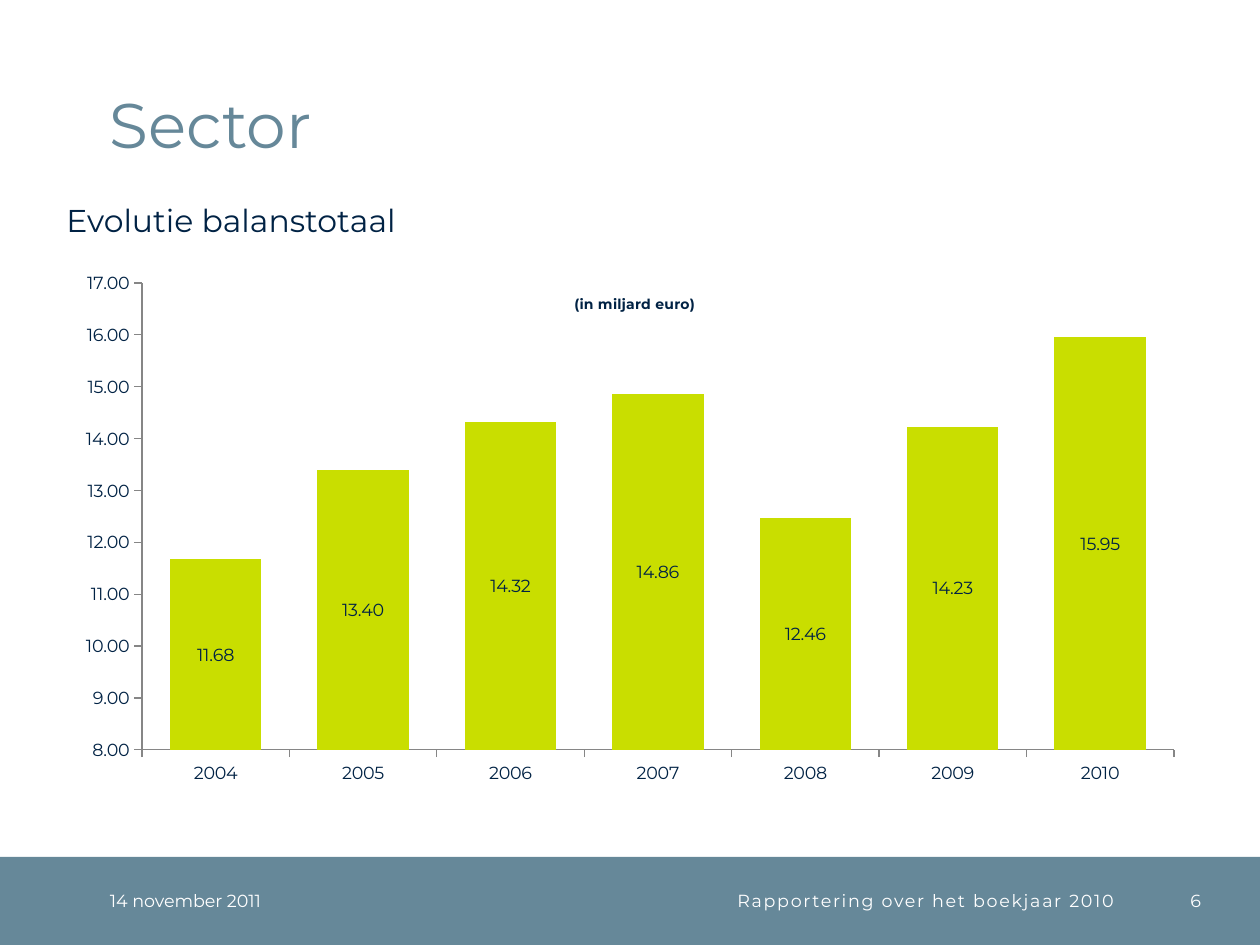
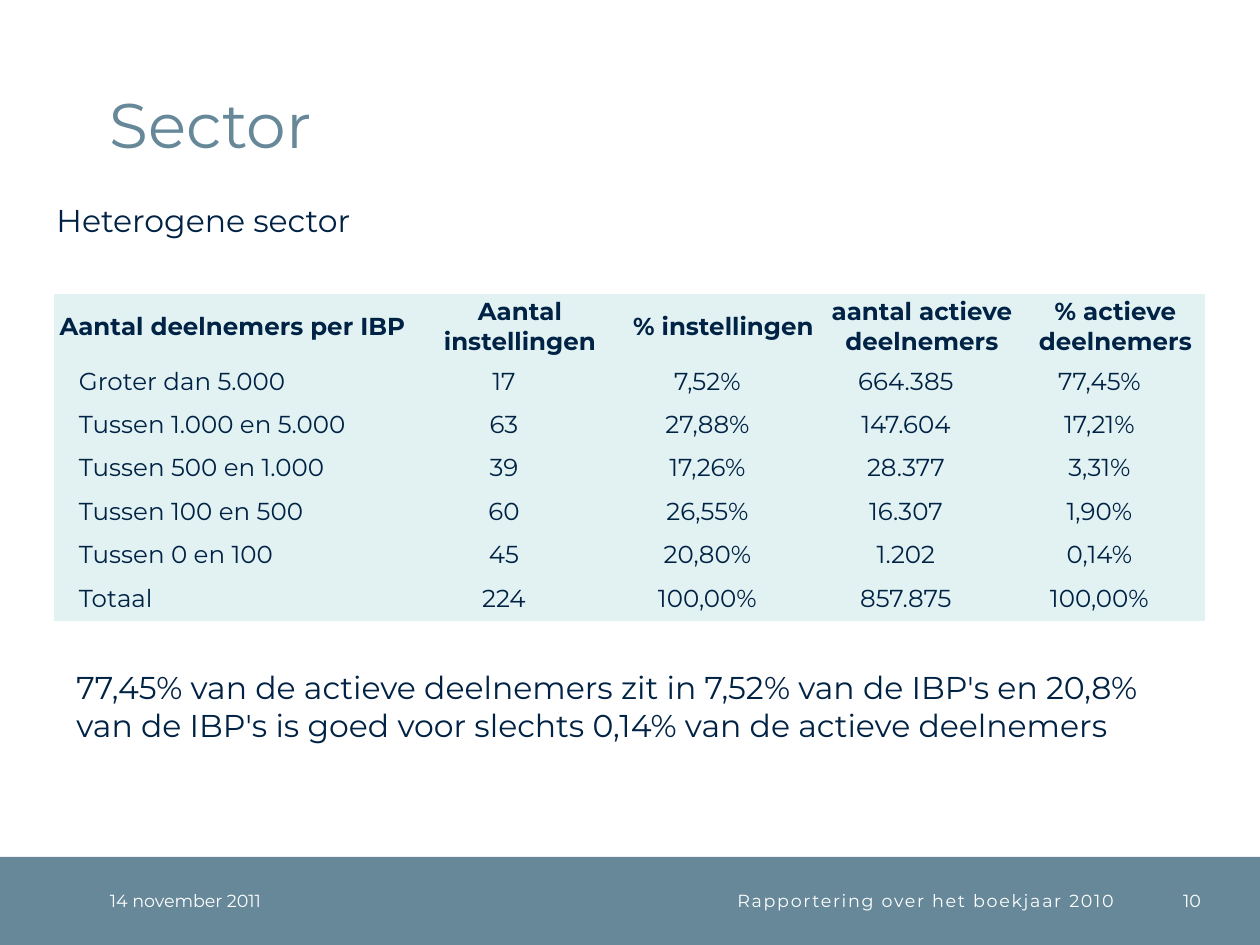
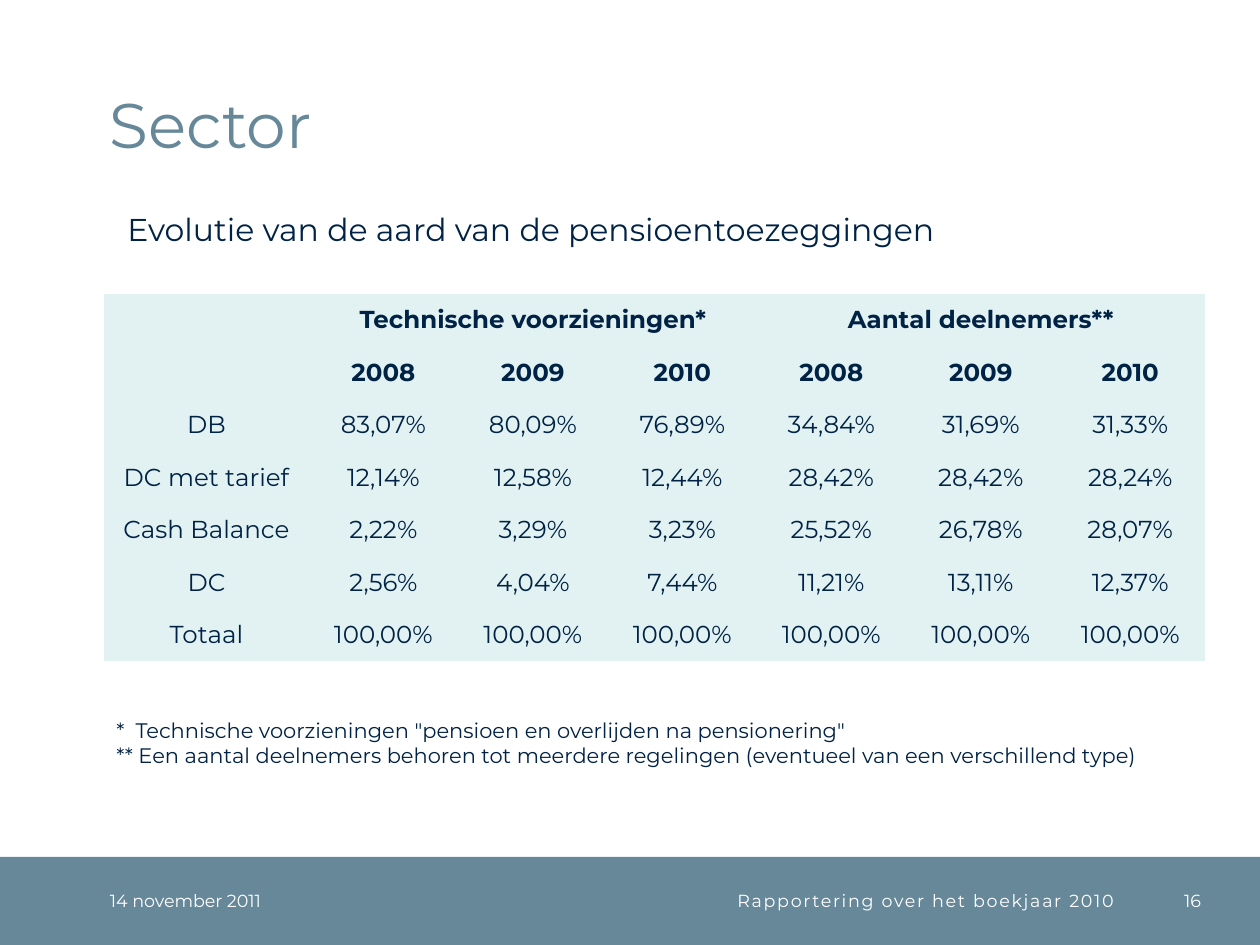
from dataclasses import dataclass

from pptx import Presentation
from pptx.chart.data import CategoryChartData
from pptx.dml.color import RGBColor
from pptx.enum.chart import XL_CHART_TYPE as ChartType, XL_TICK_MARK as TickMark
from pptx.enum.shapes import MSO_SHAPE as Preset
from pptx.enum.text import MSO_ANCHOR as Anchor, MSO_AUTO_SIZE as AutoSize, PP_ALIGN as Align
from pptx.oxml import parse_xml
from pptx.oxml.ns import nsdecls, qn
from pptx.slide import Slide
from pptx.text.text import TextFrame
from pptx.util import Emu, Pt

EMU_PER_PX = 914400 / 126
FONT = "Montserrat"
NAVY = RGBColor(0x00, 0x22, 0x44)
SLATE = RGBColor(0x66, 0x88, 0x99)
LIME = RGBColor(0xC9, 0xDE, 0x00)
MIST = RGBColor(0xE2, 0xF2, 0xF3)
GREY = RGBColor(0x86, 0x86, 0x86)
WHITE = RGBColor(0xFF, 0xFF, 0xFF)
NO_TABLE_STYLE = "{2D5ABB26-0587-4C30-8999-92F81FD0307C}"


@dataclass(frozen=True)
class Box:
    left: int
    top: int
    width: int
    height: int

    def emu(self) -> tuple[Emu, ...]:
        return tuple(px(n) for n in (self.left, self.top, self.width, self.height))


@dataclass(frozen=True)
class Grid:
    box: Box
    columns: list[int]
    heights: list[int]
    rows: list[list[str]]
    header_rows: int = 1
    label_align: Align = Align.CENTER
    label_indent: int = 0
    value_inset: int = 0
    merges: tuple[tuple[int, int, int, int], ...] = ()


BAND = Box(0, 857, 1260, 88)
TITLE = Box(110, 25, 1087, 136)
DATE = Box(110, 857, 223, 88)
REPORT = Box(333, 857, 781, 88)
PAGE = Box(1139, 857, 62, 88)
BALANCE = Box(59, 212, 1138, 583)
BALANCE_PLOT = Box(142, 283, 1032, 467)
BALANCE_UNIT = Box(572, 291, 122, 17)

BALANCE_TOTALS = {
    "2004": 11.68, "2005": 13.40, "2006": 14.32, "2007": 14.86,
    "2008": 12.46, "2009": 14.23, "2010": 15.95,
}


def px(length: int) -> Emu:
    return Emu(round(length * EMU_PER_PX))


def even_split(total: int, parts: int) -> list[int]:
    edges = [round(total * i / parts) for i in range(parts + 1)]
    return [end - start for start, end in zip(edges, edges[1:])]


PARTICIPANTS = Grid(
    Box(54, 294, 1151, 327),
    [357, 218, 189, 208, 179],
    [66, *even_split(216, 5), 45],
    [
        ["Aantal deelnemers per IBP", "Aantal instellingen", "% instellingen",
         "aantal actieve deelnemers", "% actieve deelnemers"],
        ["Groter dan 5.000", "17", "7,52%", "664.385", "77,45%"],
        ["Tussen 1.000 en 5.000", "63", "27,88%", "147.604", "17,21%"],
        ["Tussen 500 en 1.000", "39", "17,26%", "28.377", "3,31%"],
        ["Tussen 100 en 500", "60", "26,55%", "16.307", "1,90%"],
        ["Tussen 0 en 100", "45", "20,80%", "1.202", "0,14%"],
        ["Totaal", "224", "100,00%", "857.875", "100,00%"],
    ],
    label_align=Align.LEFT,
    label_indent=25,
    value_inset=32,
)

PLEDGES = Grid(
    Box(104, 294, 1101, 367),
    [205, *even_split(896, 6)],
    even_split(367, 7),
    [
        ["", "Technische voorzieningen*", "", "", "Aantal deelnemers**", "", ""],
        ["", *["2008", "2009", "2010"] * 2],
        ["DB", "83,07%", "80,09%", "76,89%", "34,84%", "31,69%", "31,33%"],
        ["DC met tarief", "12,14%", "12,58%", "12,44%", "28,42%", "28,42%", "28,24%"],
        ["Cash Balance", "2,22%", "3,29%", "3,23%", "25,52%", "26,78%", "28,07%"],
        ["DC", "2,56%", "4,04%", "7,44%", "11,21%", "13,11%", "12,37%"],
        ["Totaal", *["100,00%"] * 6],
    ],
    header_rows=2,
    merges=((0, 0, 1, 0), (0, 1, 0, 3), (0, 4, 0, 6)),
)


def write(frame: TextFrame, text: str, *, size: int, color: RGBColor = NAVY, bold: bool = False,
          align: Align = Align.LEFT, leading: int = 0, tracking: int = 0) -> None:
    for i, line in enumerate(text.split("\n")):
        paragraph = frame.add_paragraph() if i else frame.paragraphs[0]
        paragraph.alignment = align
        if leading:
            paragraph.line_spacing = Pt(leading)
        run = paragraph.add_run()
        run.text = line
        run.font.name, run.font.size, run.font.bold = FONT, Pt(size), bold
        run.font.color.rgb = color
        if tracking:
            run.font._element.set("spc", str(tracking * 100))


def add_text(slide: Slide, box: Box, text: str, *, anchor: Anchor | None = None, **style) -> None:
    frame = slide.shapes.add_textbox(*box.emu()).text_frame
    frame.word_wrap = True
    if anchor is None:
        frame.auto_size = AutoSize.SHAPE_TO_FIT_TEXT
    else:
        frame.vertical_anchor = anchor
        frame.margin_left = frame.margin_top = frame.margin_right = frame.margin_bottom = 0
    write(frame, text, **style)


def add_sector_slide(deck: Presentation, page: int) -> Slide:
    slide = deck.slides.add_slide(deck.slide_layouts[6])
    band = slide.shapes.add_shape(Preset.RECTANGLE, *BAND.emu())
    band.shadow.inherit = False
    band.fill.solid()
    band.fill.fore_color.rgb = SLATE
    band.line.fill.background()
    footer = dict(anchor=Anchor.MIDDLE, size=10, color=WHITE)
    add_text(slide, DATE, "14 november 2011", **footer)
    add_text(slide, TITLE, "Sector", anchor=Anchor.BOTTOM, size=36, color=SLATE, leading=32)
    add_text(slide, REPORT, "Rapportering over het boekjaar 2010", align=Align.RIGHT,
             tracking=1, **footer)
    add_text(slide, PAGE, str(page), align=Align.RIGHT, **footer)
    return slide


def add_grid(slide: Slide, grid: Grid) -> None:
    table = slide.shapes.add_table(len(grid.rows), len(grid.columns), *grid.box.emu()).table
    table.first_row = table.horz_banding = False
    table._tbl.tblPr.find(qn("a:tableStyleId")).text = NO_TABLE_STYLE
    for column, width in zip(table.columns, grid.columns):
        column.width = px(width)
    for row, height in zip(table.rows, grid.heights):
        row.height = px(height)
    for top, left, bottom, right in grid.merges:
        table.cell(top, left).merge(table.cell(bottom, right))
    for r, row in enumerate(grid.rows):
        for c, text in enumerate(row):
            cell = table.cell(r, c)
            is_header = r < grid.header_rows
            is_label = c == 0 and not is_header
            is_value = c > 0 and not is_header
            cell.fill.solid()
            cell.fill.fore_color.rgb = MIST
            cell.vertical_anchor = Anchor.MIDDLE
            cell.margin_top = cell.margin_bottom = 0
            cell.margin_left = px(grid.label_indent if is_label else 0)
            cell.margin_right = px(grid.value_inset if is_value else 0)
            if text:
                write(cell.text_frame, text, size=14, bold=is_header,
                      align=grid.label_align if is_label else Align.CENTER)


def place_in_chart(element, chart_box: Box, part: Box, *, sized: bool) -> None:
    fractions = {
        "x": (part.left - chart_box.left) / chart_box.width,
        "y": (part.top - chart_box.top) / chart_box.height,
    }
    target = '<c:layoutTarget val="inner"/>' if sized else ""
    modes = '<c:xMode val="edge"/><c:yMode val="edge"/>'
    if sized:
        fractions["w"] = part.width / chart_box.width
        fractions["h"] = part.height / chart_box.height
    values = "".join(f'<c:{key} val="{value:.4f}"/>' for key, value in fractions.items())
    layout = parse_xml(f'<c:layout {nsdecls("c")}><c:manualLayout>{target}{modes}{values}'
                       "</c:manualLayout></c:layout>")
    for previous in element.findall(qn("c:layout")):
        element.remove(previous)
    text = element.find(qn("c:tx"))
    element.insert(0 if text is None else 1, layout)


def add_balance_chart(slide: Slide) -> None:
    data = CategoryChartData(number_format="0.00")
    data.categories = list(BALANCE_TOTALS)
    data.add_series("Balanstotaal", list(BALANCE_TOTALS.values()))
    chart = slide.shapes.add_chart(ChartType.COLUMN_STACKED, *BALANCE.emu(), data).chart
    chart.font.name, chart.font.size = FONT, Pt(10)
    chart.font.color.rgb = NAVY
    chart.has_legend = False
    chart.has_title = True
    write(chart.chart_title.text_frame, "(in miljard euro)", size=8, bold=True, align=Align.CENTER)
    chart.chart_title.include_in_layout = False
    place_in_chart(chart.chart_title._element, BALANCE, BALANCE_UNIT, sized=False)
    place_in_chart(chart._chartSpace.chart.plotArea, BALANCE, BALANCE_PLOT, sized=True)

    for axis in (chart.category_axis, chart.value_axis):
        axis.has_major_gridlines = False
        axis.major_tick_mark, axis.minor_tick_mark = TickMark.OUTSIDE, TickMark.NONE
        axis.format.line.color.rgb = GREY
        axis.format.line.width = Pt(0.75)
    totals = chart.value_axis
    totals.minimum_scale, totals.maximum_scale, totals.major_unit = 8, 17, 1
    totals.tick_labels.number_format = "#,##0.00"
    totals.tick_labels.number_format_is_linked = False

    plot = chart.plots[0]
    plot.gap_width, plot.overlap, plot.vary_by_categories = 61, 100, False
    plot.has_data_labels = True
    labels = plot.data_labels
    labels.show_value = True
    labels.number_format, labels.number_format_is_linked = "0.00", False
    labels.font.name, labels.font.size = FONT, Pt(10)
    labels.font.color.rgb = NAVY
    fill = plot.series[0].format.fill
    fill.solid()
    fill.fore_color.rgb = LIME


def main() -> None:
    deck = Presentation()
    deck.slide_width, deck.slide_height = px(1260), px(945)

    balance = add_sector_slide(deck, 6)
    add_balance_chart(balance)
    add_text(balance, Box(54, 195, 407, 50), "Evolutie balanstotaal", size=18)

    participants = add_sector_slide(deck, 10)
    add_text(participants, Box(44, 195, 407, 50), "Heterogene sector", size=18)
    add_grid(participants, PARTICIPANTS)
    add_text(participants, Box(64, 662, 1142, 89),
             "77,45% van de actieve deelnemers zit in 7,52% van de IBP's en 20,8% "
             "van de IBP's is goed voor slechts 0,14% van de actieve deelnemers", size=18)

    pledges = add_sector_slide(deck, 16)
    add_grid(pledges, PLEDGES)
    add_text(pledges, Box(115, 204, 1062, 50),
             "Evolutie van de aard van de pensioentoezeggingen", size=18)
    add_text(pledges, Box(104, 711, 1101, 63),
             '*  Technische voorzieningen "pensioen en overlijden na pensionering"\n'
             "** Een aantal deelnemers behoren tot meerdere regelingen "
             "(eventueel van een verschillend type)", size=12)

    deck.save("out.pptx")


if __name__ == "__main__":
    main()
